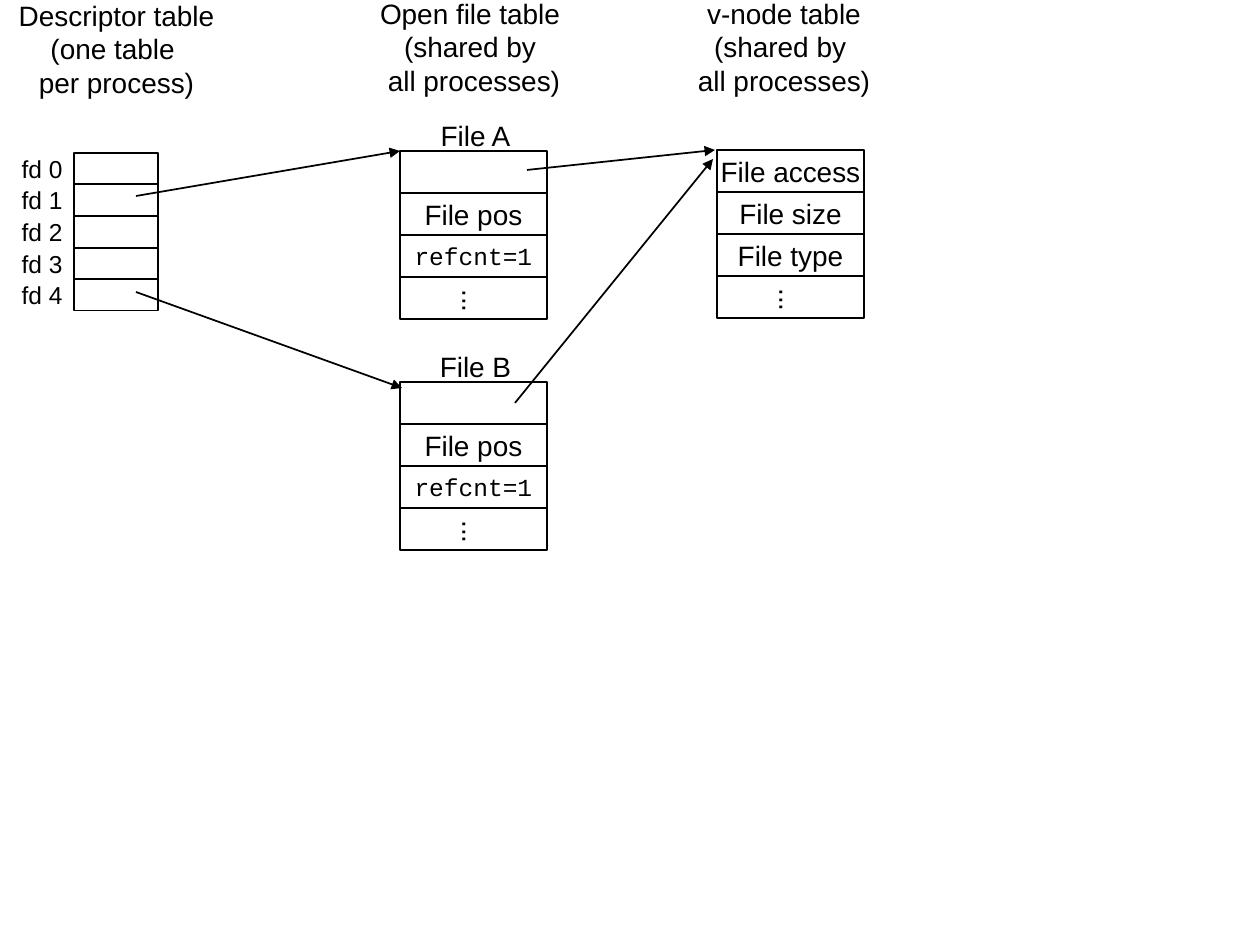
import pptx
import pptx.dml.color
import pptx.enum.shapes
import pptx.enum.text
import pptx.oxml
import pptx.oxml.ns
import pptx.util

BLACK = pptx.dml.color.RGBColor(0, 0, 0)
PIXELS_PER_INCH = 126
ALIGN = pptx.enum.text.PP_ALIGN
DOTS = "..."


def px(length):
    return pptx.util.Emu(round(length * pptx.util.Inches(1) / PIXELS_PER_INCH))


def write_text(shape, text, size=16, font="Arial", align=ALIGN.CENTER, vertical=False, grow=False):
    frame = shape.text_frame
    frame.word_wrap = False
    frame.vertical_anchor = pptx.enum.text.MSO_ANCHOR.MIDDLE
    if grow:
        frame.auto_size = pptx.enum.text.MSO_AUTO_SIZE.SHAPE_TO_FIT_TEXT
    if vertical:
        shape.element.txBody.bodyPr.set("vert", "eaVert")
    frame.text = text
    for paragraph in frame.paragraphs:
        paragraph.alignment = align
        paragraph.font.size = pptx.util.Pt(size)
        paragraph.font.name = font
        paragraph.font.color.rgb = BLACK


def add_label(slide, text, left, top, width, height, **text_format):
    box = slide.shapes.add_textbox(px(left), px(top), px(width), px(height))
    write_text(box, text, **text_format)


def add_cell(slide, left, top, width, height, text="", **text_format):
    cell = slide.shapes.add_shape(
        pptx.enum.shapes.MSO_SHAPE.RECTANGLE, px(left), px(top), px(width), px(height))
    cell.shadow.inherit = False
    cell.fill.background()
    cell.line.color.rgb = BLACK
    cell.line.width = pptx.util.Pt(1)
    if text:
        write_text(cell, text, **text_format)


def add_record(slide, left, top, fields):
    width, height = 147, 42
    for row, field in enumerate(fields):
        is_code = "=" in field
        add_cell(slide, left, top + row * height, width, height, field,
                 size=14 if is_code else 16,
                 font="Courier New" if is_code else "Arial",
                 vertical=field == DOTS)


def add_descriptor_table(slide):
    left, top, width, height = 74, 153, 84, 63 / 2
    for number in range(5):
        row_top = round(top + number * height)
        add_cell(slide, left, row_top, width, height)
        add_label(slide, f"fd {number}", left - width + 1, row_top, width, height,
                  size=14, align=ALIGN.RIGHT)


def add_arrow(slide, start, end):
    arrow = slide.shapes.add_connector(
        pptx.enum.shapes.MSO_CONNECTOR.STRAIGHT, *map(px, start + end))
    arrow.line.color.rgb = BLACK
    arrow.line.width = pptx.util.Pt(1)
    namespace = pptx.oxml.ns.nsdecls("a")
    arrow.line._get_or_add_ln().append(
        pptx.oxml.parse_xml(f'<a:tailEnd {namespace} type="triangle"/>'))
    arrow.element.spPr.append(pptx.oxml.parse_xml(f"<a:effectLst {namespace}/>"))


def main():
    presentation = pptx.Presentation()
    presentation.slide_width = pptx.util.Inches(10)
    presentation.slide_height = pptx.util.Inches(7.5)
    slide = presentation.slides.add_slide(presentation.slide_layouts[6])

    for text, left, top, width in (
        ("Descriptor table\n(one table \nper process)", 6, -8, 221),
        ("Open file table \n(shared by \nall processes)", 367, -10, 214),
        ("v-node table\n(shared by \nall processes)", 685, -10, 198),
    ):
        add_label(slide, text, left, top, width, 113, grow=True)

    add_descriptor_table(slide)
    for name, top in (("File A", 151), ("File B", 382)):
        add_label(slide, name, 427, top - 39, 97, 47, grow=True)
        add_record(slide, 400, top, ["", "File pos", "refcnt=1", DOTS])
    add_record(slide, 717, 150, ["File access", "File size", "File type", DOTS])

    for start, end in (
        ((136, 196), (400, 151)),
        ((136, 292), (402, 388)),
        ((527, 170), (715, 150)),
        ((515, 403), (713, 159)),
    ):
        add_arrow(slide, start, end)

    presentation.save("out.pptx")


if __name__ == "__main__":
    main()
